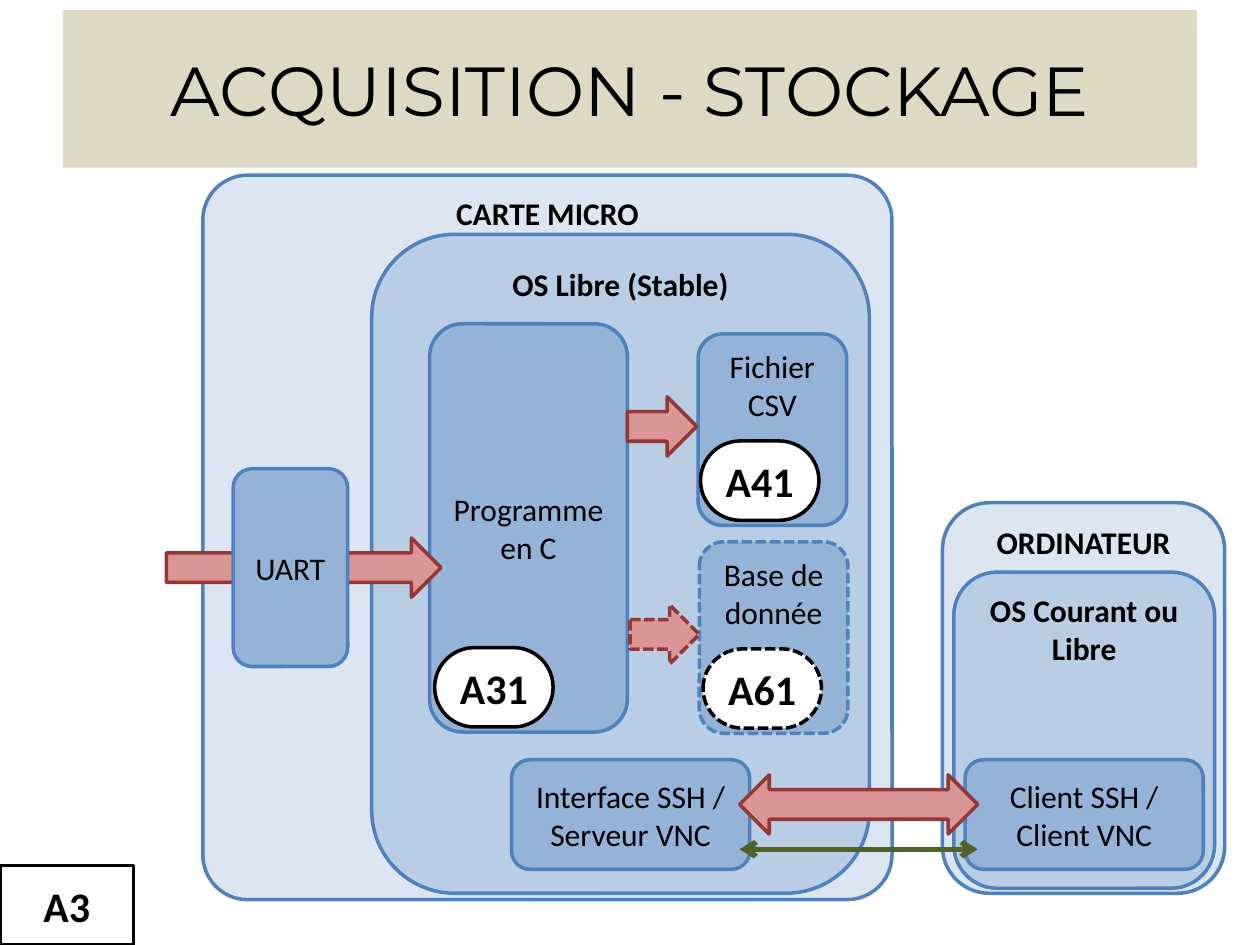
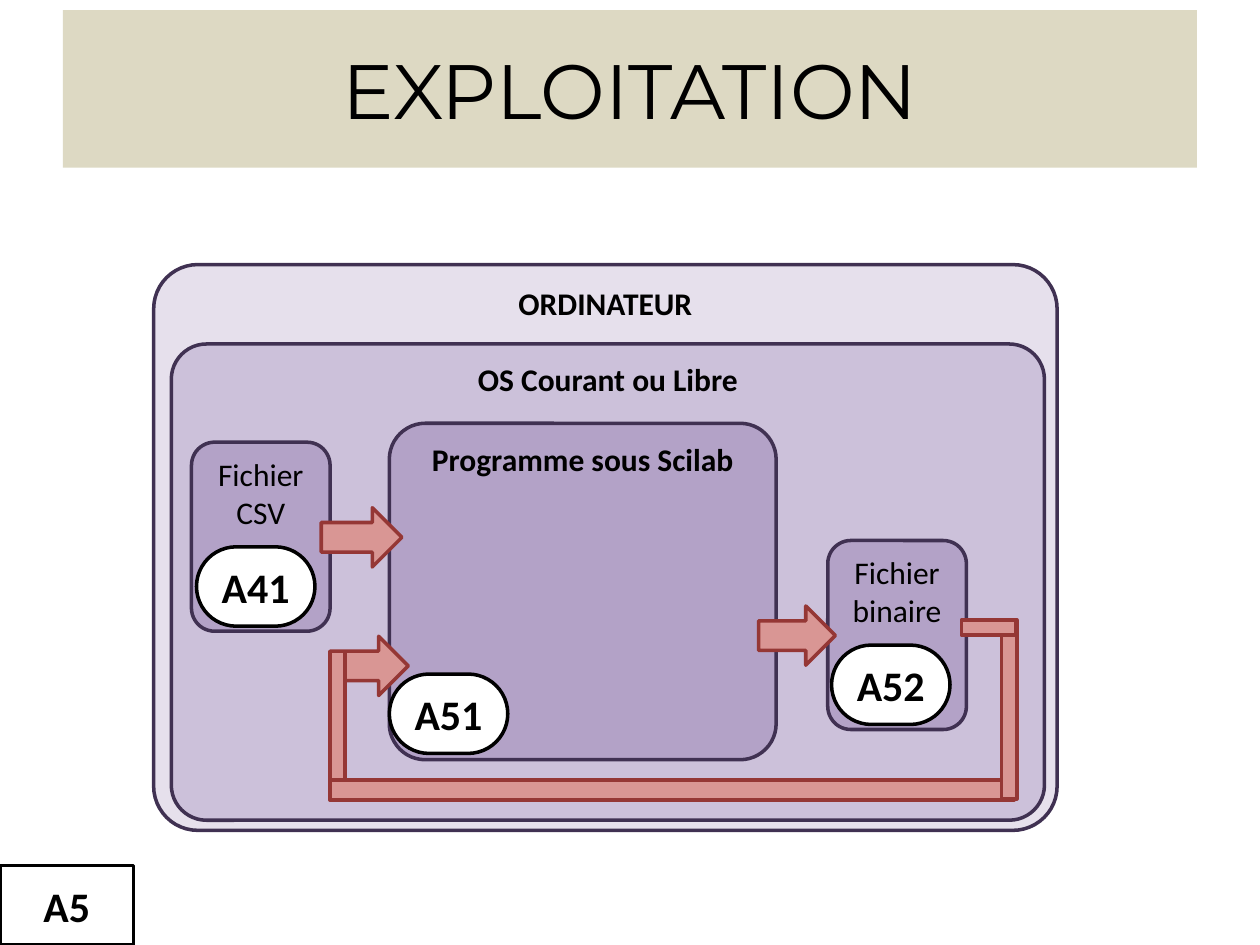
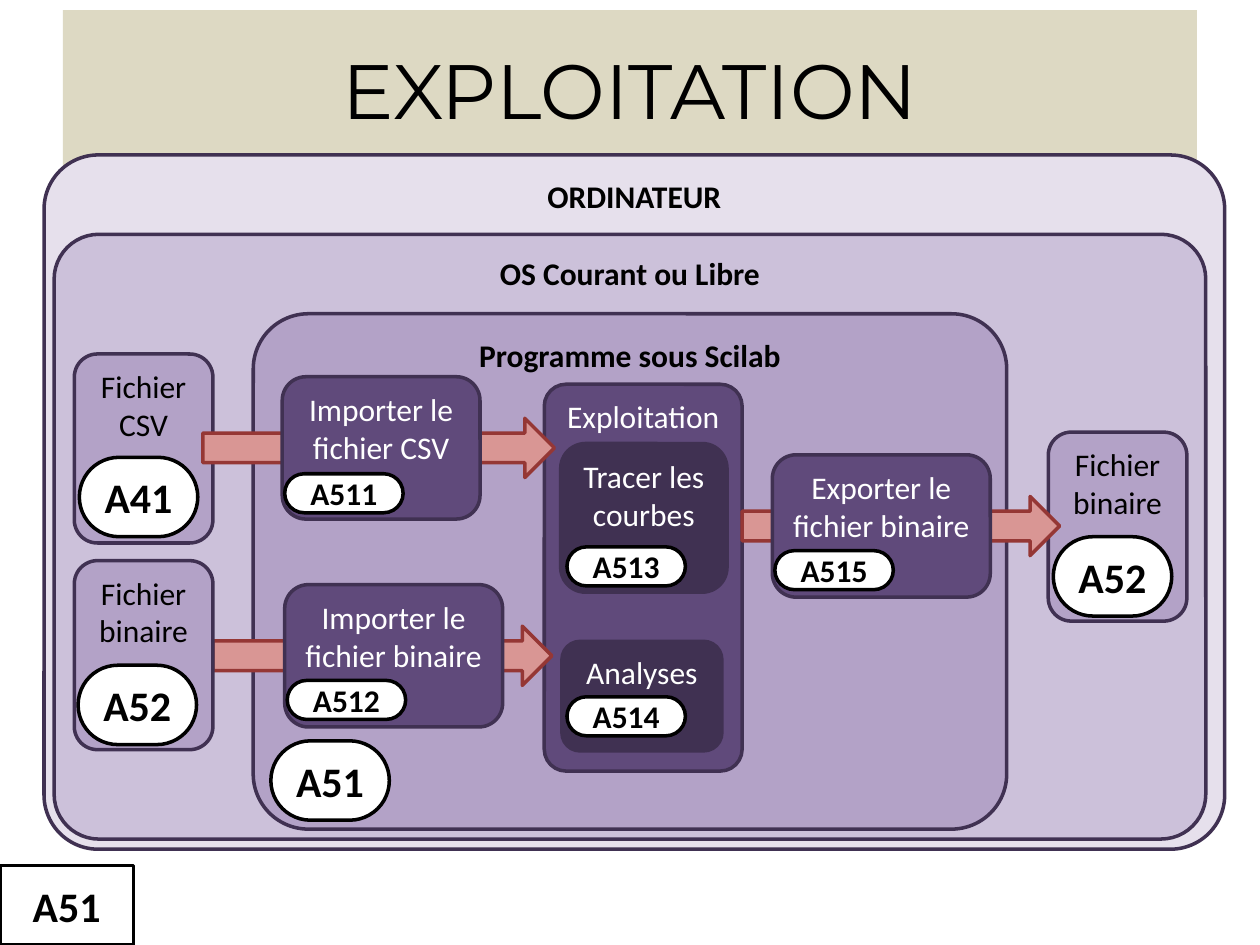
from dataclasses import dataclass

from lxml import etree
from pptx import Presentation
from pptx import util as u
from pptx.dml.color import RGBColor
from pptx.enum import dml, shapes, text
from pptx.oxml import ns


@dataclass(frozen=True)
class Theme:
    body_font: str = "Calibri"
    title_font: str = "Montserrat"
    title_fill: str = "DDD9C3"
    black: str = "000000"
    white: str = "FFFFFF"
    arrow_fill: str = "D99694"
    arrow_line: str = "953735"
    link: str = "4F6228"
    body_size: int = 18
    tag_size: int = 24
    line_width: int = 2
    link_width: int = 3


THEME = Theme()
BLUE = {"line": "4F81BD", "fills": ["DCE6F2", "B9CDE5", "95B3D7"]}
PURPLE = {"line": "403152",
          "fills": ["E6E0EC", "CCC1DA", "B3A2C7", "604A7B", "403152"]}

TITLE_BAND = (0.5, 0.08, 9, 1.25)
PAGE_TAG = (0, 6.87, 1.06, 0.63)
TAG_WIDTH = 0.94
BIG_TAG, SMALL_TAG = 0.63, 0.31
ARROW_HEIGHT = 0.47
DARK_LEVEL = 3


def box(label, level, at, **options):
    return {"kind": "box", "label": label, "level": level, "at": at, **options}


def arrow(x, y, w, **options):
    return {"kind": "arrow", "at": (x, y, w, ARROW_HEIGHT), **options}


def pipe(*at):
    return {"kind": "pipe", "at": at}


def link(start, end):
    return {"kind": "link", "start": start, "end": end}


def tag(label, dx=0.03, gap=0.04, height=BIG_TAG):
    return {"label": label, "dx": dx, "gap": gap, "height": height}


def step(label, dx=0.02, gap=0.05):
    return tag(label, dx, gap, SMALL_TAG)


SLIDES = [
    {"title": "ACQUISITION - STOCKAGE", "title_size": 39.6, "page": "A3",
     "palette": BLUE, "items": [
         box("CARTE MICRO", 0, (1.61, 1.39, 5.47, 5.75), bold=True, adj=0.065),
         box("OS Libre (Stable)", 1, (2.95, 1.86, 3.95, 5.23), bold=True),
         box("Programme en C", 2, (3.41, 2.57, 1.57, 3.24), middle=True,
             tag=tag("A31", 0.04)),
         box("Fichier CSV", 2, (5.54, 2.65, 1.18, 1.52), tag=tag("A41", 0.02)),
         box("Interface SSH / Serveur VNC", 2, (4.06, 6.03, 1.89, 0.87),
             middle=True),
         arrow(4.98, 3.15, 0.55),
         box("ORDINATEUR", 0, (7.48, 3.99, 2.24, 3.1), bold=True),
         box("OS Courant ou Libre", 1, (7.57, 4.54, 2.07, 2.51), bold=True),
         box("Client SSH / Client VNC", 2, (7.66, 6.03, 1.89, 0.87),
             middle=True),
         arrow(5.87, 6.15, 1.89, double=True),
         arrow(1.32, 4.27, 2.18),
         box("UART", 2, (1.85, 3.72, 0.91, 1.57), middle=True),
         link((7.76, 6.74), (5.87, 6.74)),
         box("Base de donnée", 2, (5.55, 4.3, 1.18, 1.52), dashed=True,
             tag=tag("A61")),
         arrow(5, 4.8, 0.55, dashed=True),
     ]},
    {"title": "EXPLOITATION", "title_size": 44, "page": "A5",
     "palette": PURPLE, "items": [
         box("ORDINATEUR", 0, (1.22, 2.1, 7.17, 4.49), bold=True, adj=0.078),
         box("OS Courant ou Libre", 1, (1.36, 2.73, 6.93, 3.78), bold=True,
             adj=0.074),
         box("Programme sous Scilab", 2, (3.09, 3.36, 3.07, 2.67), bold=True,
             adj=0.107, tag=tag("A51", 0, 0.05)),
         box("Fichier binaire", 2, (6.57, 4.29, 1.1, 1.5), tag=tag("A52")),
         box("Fichier CSV", 2, (1.52, 3.51, 1.1, 1.5), tag=tag("A41", 0.04)),
         arrow(6.02, 4.81, 0.61),
         arrow(2.55, 4.03, 0.64),
         arrow(2.62, 5.05, 0.62),
         pipe(2.62, 5.17, 0.12, 1.14),
         pipe(2.62, 6.19, 5.43, 0.16),
         pipe(7.95, 4.92, 0.12, 1.42),
         pipe(7.63, 4.92, 0.43, 0.12),
     ]},
    {"title": "EXPLOITATION", "title_size": 44, "page": "A51",
     "palette": PURPLE, "items": [
         box("ORDINATEUR", 0, (0.35, 1.23, 9.37, 5.51), bold=True, adj=0.078),
         box("OS Courant ou Libre", 1, (0.43, 1.86, 9.14, 4.8), bold=True,
             adj=0.074),
         box("Programme sous Scilab", 2, (2.01, 2.49, 5.98, 4.09), bold=True,
             adj=0.107, tag=tag("A51", 0.14, 0.07)),
         box("Fichier binaire", 2, (8.32, 3.43, 1.1, 1.5), tag=tag("A52", 0.04)),
         box("Fichier CSV", 2, (0.59, 2.81, 1.1, 1.5), tag=tag("A41", 0.04, 0.05)),
         box("Exploitation", 3, (4.32, 3.05, 1.57, 3.07), adj=0.11),
         box("Tracer les courbes", 4, (4.45, 3.52, 1.32, 1.18),
             tag=step("A513", 0.05)),
         box("Analyses", 4, (4.46, 5.09, 1.27, 0.87),
             tag=step("A514", 0.04, 0.12)),
         arrow(1.61, 3.32, 2.79),
         box("Importer le fichier CSV", 3, (2.24, 2.99, 1.57, 1.13),
             tag=step("A511")),
         arrow(1.69, 4.97, 2.69),
         box("Importer le fichier binaire", 3, (2.26, 4.64, 1.73, 1.13),
             tag=step("A512", gap=0.06)),
         box("Fichier binaire", 2, (0.59, 4.45, 1.1, 1.5), tag=tag("A52")),
         arrow(5.89, 3.94, 2.52),
         box("Exporter le fichier binaire", 3, (6.13, 3.61, 1.73, 1.13),
             tag=step("A515", gap=0.06)),
     ]},
]


def rgb(color):
    return RGBColor.from_string(color)


def add_shape(s, preset, at, fill, line, dashed=False, adj=None):
    sp = s.shapes.add_shape(preset, *map(u.Inches, at))
    sp.shadow.inherit = False
    if adj is not None:
        sp.adjustments[0] = adj
    if fill:
        sp.fill.solid()
        sp.fill.fore_color.rgb = rgb(fill)
    else:
        sp.fill.background()
    if line:
        sp.line.color.rgb = rgb(line)
        sp.line.width = u.Pt(THEME.line_width)
        if dashed:
            sp.line.dash_style = dml.MSO_LINE.SQUARE_DOT
    else:
        sp.line.fill.background()
    return sp


def set_text(sp, label, size, bold=False, color=THEME.black,
             font=THEME.body_font, middle=True, margins=(0.1, 0.05)):
    tf = sp.text_frame
    tf.text = label
    tf.word_wrap = True
    tf.vertical_anchor = (text.MSO_ANCHOR.MIDDLE if middle
                          else text.MSO_ANCHOR.TOP)
    tf.margin_left = tf.margin_right = u.Inches(margins[0])
    tf.margin_top = tf.margin_bottom = u.Inches(margins[1])
    p = tf.paragraphs[0]
    p.alignment = text.PP_ALIGN.CENTER
    f = p.runs[0].font
    f.name, f.size, f.bold = font, u.Pt(size), bold
    f.color.rgb = rgb(color)


def add_tag(s, parent, label, dx, gap, height, dashed):
    x, y, _, h = parent
    at = (x + dx, y + h - gap - height, TAG_WIDTH, height)
    sp = add_shape(s, shapes.MSO_SHAPE.ROUNDED_RECTANGLE, at,
                   THEME.white, THEME.black, dashed, 0.5)
    size = THEME.tag_size if height == BIG_TAG else THEME.body_size
    set_text(sp, label, size, bold=True, margins=(0, 0))


def draw_box(s, item, palette):
    level, dashed = item["level"], item.get("dashed", False)
    sp = add_shape(s, shapes.MSO_SHAPE.ROUNDED_RECTANGLE, item["at"],
                   palette["fills"][level], palette["line"], dashed,
                   item.get("adj"))
    set_text(sp, item["label"], THEME.body_size, item.get("bold", False),
             THEME.white if level >= DARK_LEVEL else THEME.black,
             middle=item.get("middle", False))
    if "tag" in item:
        add_tag(s, item["at"], dashed=dashed, **item["tag"])


def draw_arrow(s, item, palette):
    preset = (shapes.MSO_SHAPE.LEFT_RIGHT_ARROW if item.get("double")
              else shapes.MSO_SHAPE.RIGHT_ARROW)
    add_shape(s, preset, item["at"], THEME.arrow_fill, THEME.arrow_line,
              item.get("dashed", False))


def draw_pipe(s, item, palette):
    add_shape(s, shapes.MSO_SHAPE.RECTANGLE, item["at"],
              THEME.arrow_fill, THEME.arrow_line)


def draw_link(s, item, palette):
    ends = map(u.Inches, item["start"] + item["end"])
    c = s.shapes.add_connector(shapes.MSO_CONNECTOR.STRAIGHT, *ends)
    c.line.color.rgb = rgb(THEME.link)
    c.line.width = u.Pt(THEME.link_width)
    ln = c.line._get_or_add_ln()
    for end in ("a:headEnd", "a:tailEnd"):
        etree.SubElement(ln, ns.qn(end), type="arrow")
    etree.SubElement(c._element.spPr, ns.qn("a:effectLst"))


DRAW = {"box": draw_box, "arrow": draw_arrow, "pipe": draw_pipe,
        "link": draw_link}


def add_frame(s, content):
    band = add_shape(s, shapes.MSO_SHAPE.RECTANGLE, TITLE_BAND,
                     THEME.title_fill, None)
    set_text(band, content["title"], content["title_size"],
             font=THEME.title_font)
    page = add_shape(s, shapes.MSO_SHAPE.RECTANGLE, PAGE_TAG,
                     None, THEME.black)
    set_text(page, content["page"], THEME.tag_size, bold=True)


def main():
    prs = Presentation()
    prs.slide_width, prs.slide_height = u.Inches(10), u.Inches(7.5)
    for content in SLIDES:
        s = prs.slides.add_slide(prs.slide_layouts[6])
        add_frame(s, content)
        for item in content["items"]:
            DRAW[item["kind"]](s, item, content["palette"])
    prs.save("out.pptx")


if __name__ == "__main__":
    main()
